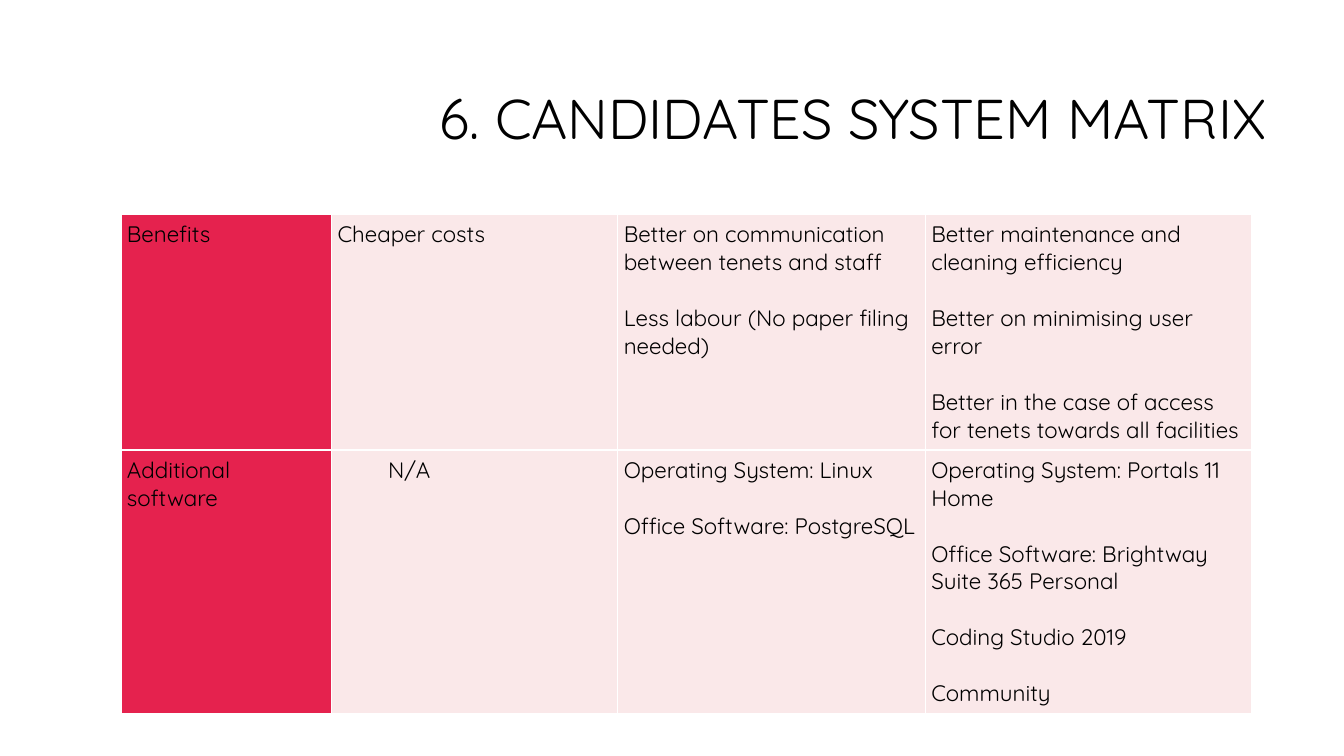
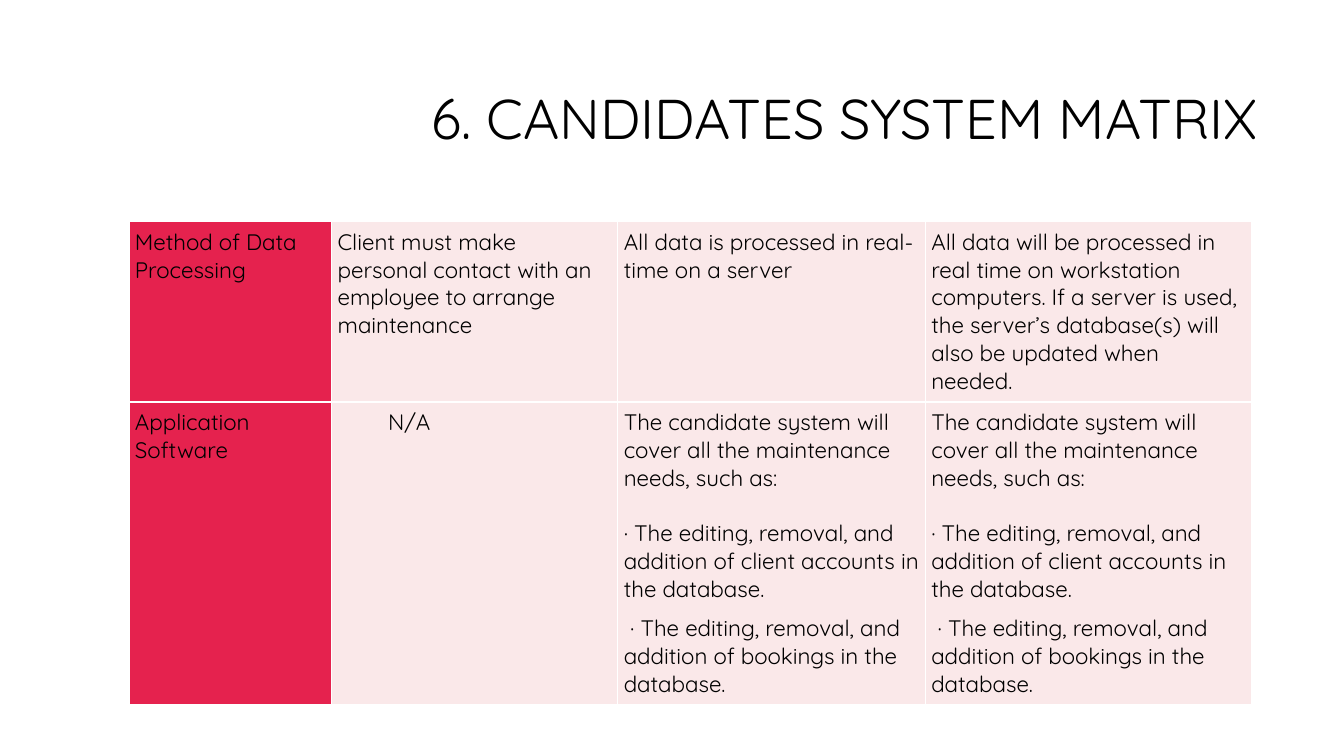
from dataclasses import dataclass

from lxml import etree
from pptx import Presentation
from pptx import util as u
from pptx.dml.color import RGBColor
from pptx.enum import text as t
from pptx.oxml.ns import qn

BLACK, WHITE, RED, PINK = "000000", "FFFFFF", "E5224E", "FAE8E9"
FACE = "Quicksand"
RIGHT = u.Cm(31.55)
COLS = [u.Cm(7.21), u.Cm(7.75), u.Cm(8.23)]
PAD = u.Cm(0.15)
TITLE = "6. CANDIDATES SYSTEM MATRIX"


@dataclass(frozen=True)
class Para:
    text: str
    before: float = 12
    left: float = 0
    first: float = 0


@dataclass(frozen=True)
class Row:
    high: float
    cells: list[list[Para]]


@dataclass(frozen=True)
class Page:
    head: float
    left: float
    top: float
    rows: list[Row]


def paras(*lines: str) -> list[Para]:
    return [Para(line) for line in lines]


NONE = [Para("N/A", left=1.27)]
NEEDS = paras(
    "The candidate system will cover all the maintenance needs, such as:",
    "· The editing, removal, and addition of client accounts in the database.",
) + [Para("· The editing, removal, and addition of bookings in the database.",
          before=0, first=0.16)]

PAGES = [
    Page(9.02, 3.05, 5.41, [
        Row(5.88, [
            paras("Benefits"),
            paras("Cheaper costs"),
            paras("Better on communication between tenets and staff",
                  "Less labour (No paper filing needed)"),
            paras("Better maintenance and cleaning efficiency",
                  "Better on minimising user error",
                  "Better in the case of access for tenets towards all facilities"),
        ]),
        Row(6.6, [
            paras("Additional software"),
            NONE,
            paras("Operating System: Linux", "Office Software: PostgreSQL"),
            paras("Operating System: Portals 11 Home",
                  "Office Software: Brightway Suite 365 Personal",
                  "Coding Studio 2019",
                  "Community"),
        ]),
    ]),
    Page(8.81, 3.25, 5.59, [
        Row(4.54, [
            paras("Method of Data Processing"),
            paras("Client must make personal contact with an employee "
                  "to arrange maintenance"),
            paras("All data is processed in real-time on a server"),
            paras("All data will be processed in real time on workstation "
                  "computers. If a server is used, the server’s database(s) "
                  "will also be updated when needed."),
        ]),
        Row(7.58, [paras("Application Software"), NONE, NEEDS, NEEDS]),
    ]),
]


def rgb(code: str) -> RGBColor:
    return RGBColor.from_string(code)


def apply(item, form: dict) -> None:
    for name, value in form.items():
        setattr(item, name, value)


def style(font, size: float) -> None:
    apply(font, {"name": FACE, "size": u.Pt(size), "bold": False})
    font.color.rgb = rgb(BLACK)


def edge(cell) -> None:
    """Give all four sides of a cell a thin white line."""
    prop = cell._tc.get_or_add_tcPr()
    for side in ("lnL", "lnR", "lnT", "lnB"):
        line = etree.SubElement(prop, qn(f"a:{side}"), w=str(u.Pt(1)))
        fill = etree.SubElement(line, qn("a:solidFill"))
        etree.SubElement(fill, qn("a:srgbClr"), val=WHITE)


def write(frame, items: list[Para]) -> None:
    for i, item in enumerate(items):
        para = frame.add_paragraph() if i else frame.paragraphs[0]
        prop = para._p.get_or_add_pPr()
        prop.set("marL", str(u.Cm(item.left)))
        prop.set("indent", str(u.Cm(item.first)))
        apply(para, {"text": item.text, "alignment": t.PP_ALIGN.LEFT,
                     "space_before": u.Pt(item.before if i else 0),
                     "space_after": u.Pt(8)})
        style(para.runs[0].font, 16)


def title(slide, left: float) -> None:
    box = slide.shapes.title
    apply(box, {"left": u.Cm(left), "top": u.Cm(1.27),
                "width": u.Cm(23.14), "height": u.Cm(3.58)})
    frame = box.text_frame
    apply(frame, {"text": TITLE, "word_wrap": True,
                  "auto_size": t.MSO_AUTO_SIZE.NONE,
                  "vertical_anchor": t.MSO_ANCHOR.MIDDLE})
    para = frame.paragraphs[0]
    apply(para, {"alignment": t.PP_ALIGN.RIGHT, "line_spacing": 0.9})
    style(para.runs[0].font, 40)


def matrix(slide, page: Page) -> None:
    left = u.Cm(page.left)
    wide = RIGHT - left
    high = u.Cm(sum(row.high for row in page.rows))
    grid = slide.shapes.add_table(len(page.rows), len(COLS) + 1, left,
                                  u.Cm(page.top), wide, high).table
    apply(grid, {"first_row": False, "horz_banding": False})
    for col, size in zip(grid.columns, [wide - sum(COLS), *COLS]):
        col.width = size
    for r, row in enumerate(page.rows):
        grid.rows[r].height = u.Cm(row.high)
        for c, items in enumerate(row.cells):
            cell = grid.cell(r, c)
            edge(cell)
            cell.fill.solid()
            cell.fill.fore_color.rgb = rgb(PINK if c else RED)
            apply(cell, {f"margin_{side}": PAD
                         for side in ("left", "right", "top", "bottom")})
            write(cell.text_frame, items)


def main() -> None:
    deck = Presentation()
    apply(deck, {"slide_width": u.Cm(33.87), "slide_height": u.Cm(19.05)})
    for page in PAGES:
        slide = deck.slides.add_slide(deck.slide_layouts[5])
        title(slide, page.head)
        matrix(slide, page)
    deck.save("out.pptx")


if __name__ == "__main__":
    main()
